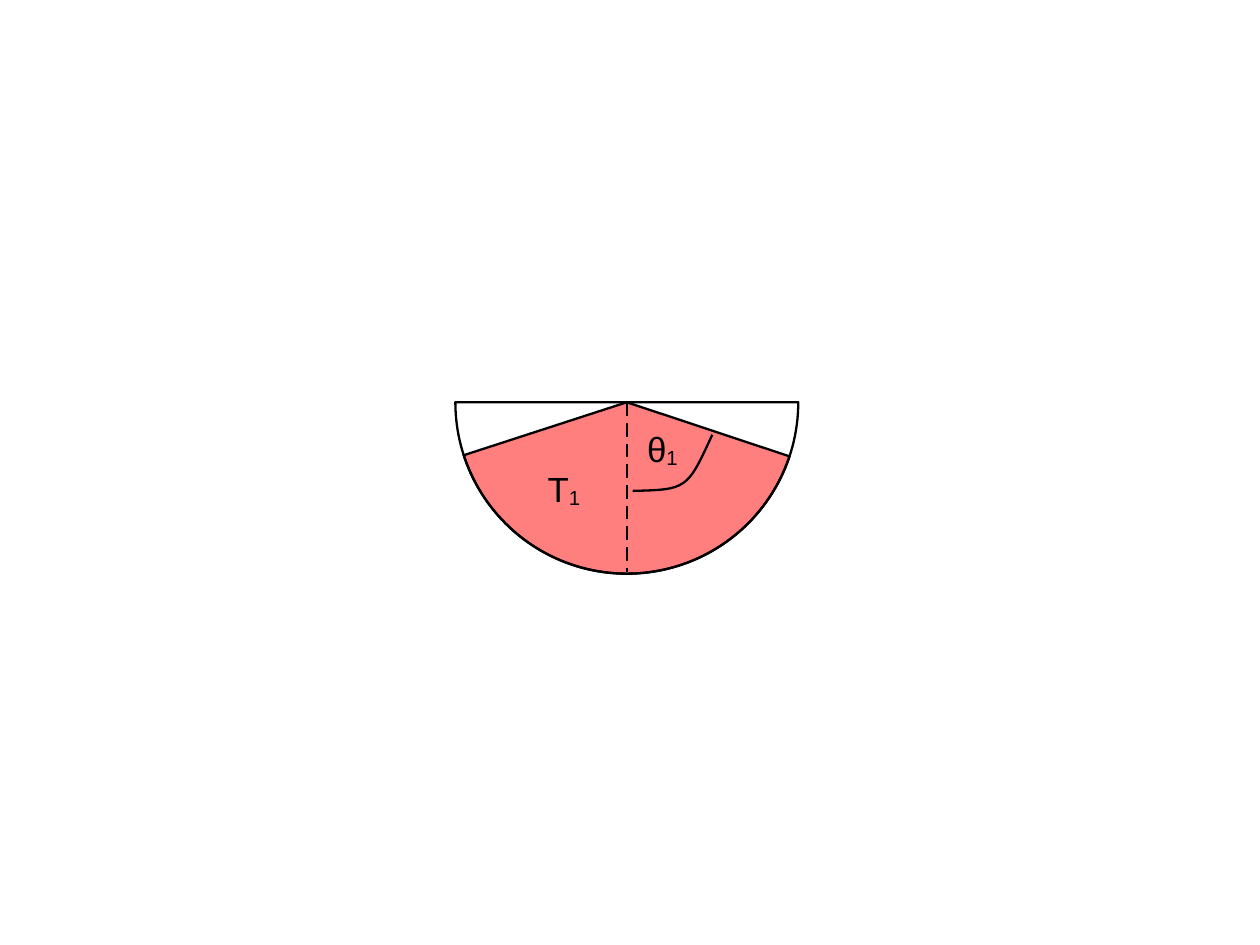
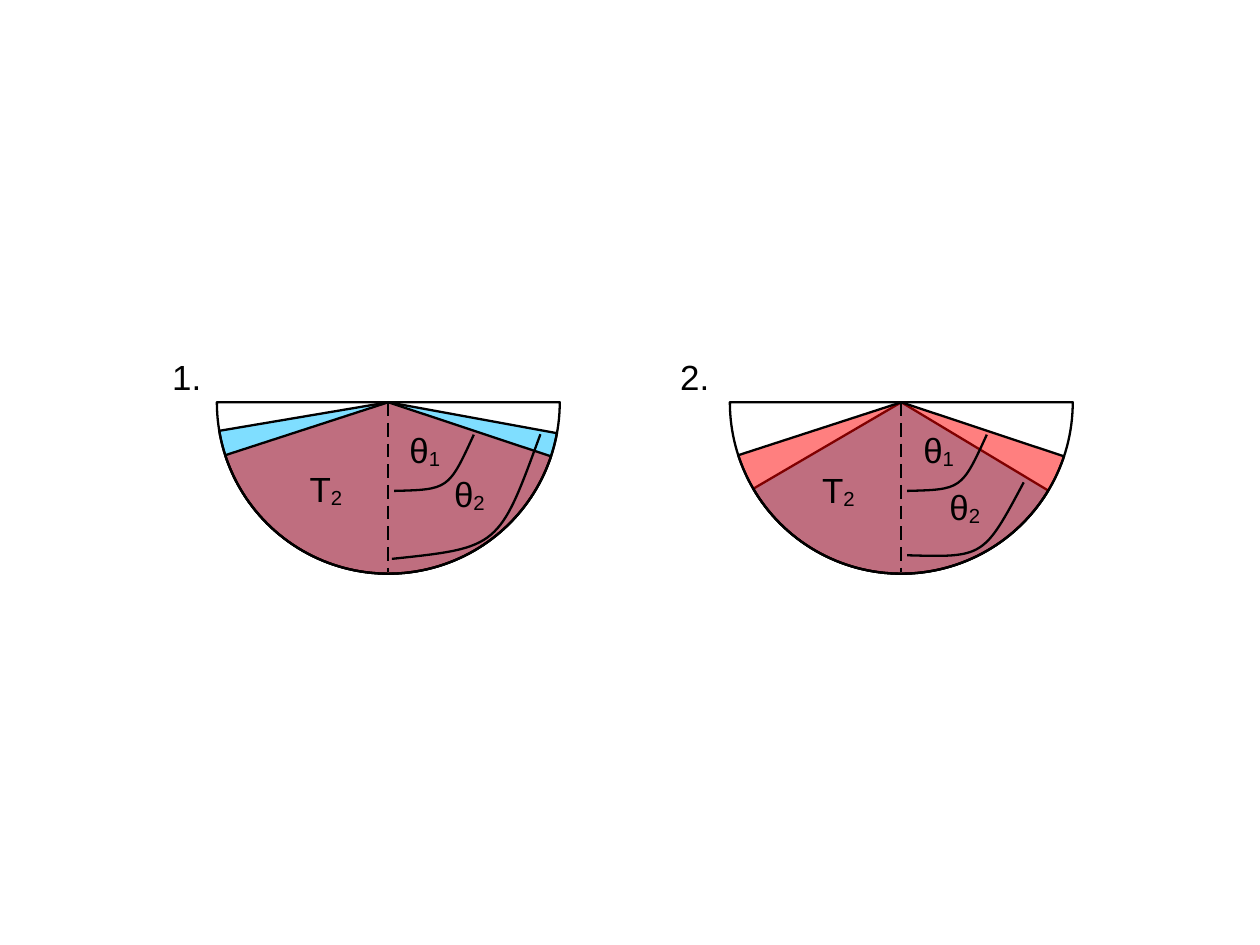
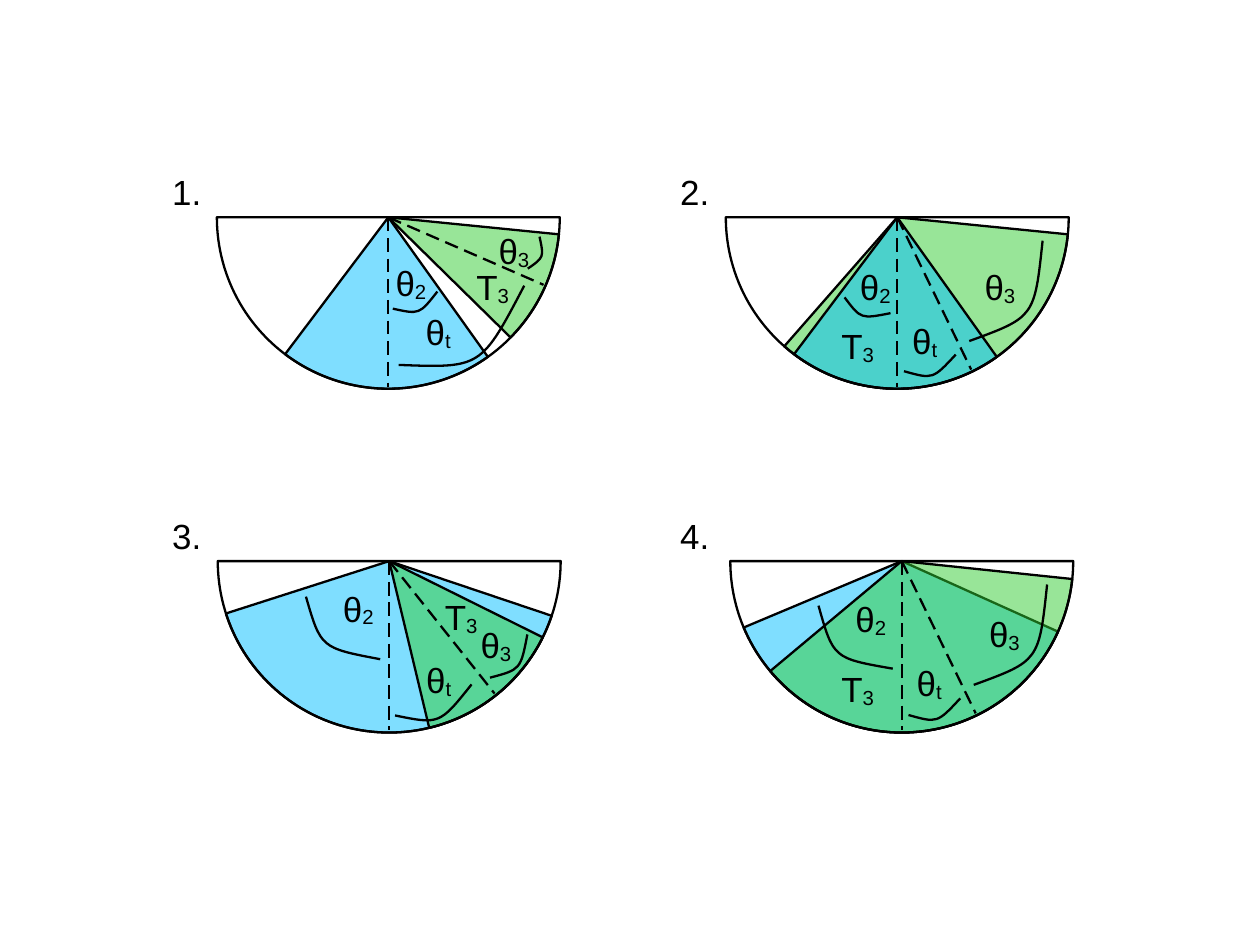
import math

import pptx
import pptx.dml.color
import pptx.enum.shapes
import pptx.enum.text
import pptx.oxml.ns
import pptx.util
from lxml import etree

Cm = pptx.util.Cm
qn = pptx.oxml.ns.qn

BLACK, RED, BLUE, GREEN = "000000", "FF0000", "00BFFF", "32CD32"
FONT, TEXT_SIZE, LINE_WIDTH = "Arial", 22, 1.45
RADIUS, AXIS_LENGTH = 3.81, 3.76
LABEL_WIDTH, LABEL_HEIGHT = 1.91, 1.27
LABEL_WIDTHS = {"θ3": 1.24}
NUMBER_X, NUMBER_RISE = (4.15, 15.44), 0.53

RED_SECTOR = (RED, 18.4, 162)
NARROW_BLUE = (BLUE, 54.5, 127)
THETA_1 = ((1.9, 0.72), (1.34, 1.94), (0.13, 1.97))
THETA_T = ((1.3, 3.05), (0.79, 3.6), (0.15, 3.42))
THETA_3 = ((3.23, 0.52), (3.05, 2.22), (1.6, 2.75))

SLIDES = [
    [
        {"apex": (13.93, 8.94), "sectors": [RED_SECTOR], "axes": [90],
         "arcs": [THETA_1],
         "labels": [("θ", "1", 0.79, 1.08), ("T", "1", -1.4, 1.97)]},
    ],
    [
        {"number": 1, "apex": (8.63, 8.94), "axes": [90],
         "sectors": [(BLUE, 10.4, 170.4), RED_SECTOR],
         "arcs": [THETA_1, ((3.38, 0.71), (2.46, 3.23), (0.08, 3.48))],
         "labels": [("θ", "1", 0.81, 1.09), ("θ", "2", 1.8, 2.07),
                    ("T", "2", -1.39, 1.97)]},
        {"number": 2, "apex": (20.03, 8.94), "axes": [90],
         "sectors": [(BLUE, 31, 149.7), RED_SECTOR],
         "arcs": [THETA_1, ((2.72, 1.78), (1.83, 3.45), (0.13, 3.4))],
         "labels": [("θ", "1", 0.83, 1.1), ("θ", "2", 1.41, 2.37),
                    ("T", "2", -1.4, 1.99)]},
    ],
    [
        {"number": 1, "apex": (8.63, 4.83), "axes": [90, 23.5],
         "sectors": [(GREEN, 5.7, 44.5), NARROW_BLUE],
         "arcs": [((3.02, 1.52), (2.06, 3.35), (0.23, 3.28)),
                  ((1.09, 1.65), (0.69, 2.16), (0.1, 2.03)),
                  ((3.36, 0.43), (3.46, 0.89), (3.1, 1.14))],
         "labels": [("θ", "t", 1.11, 2.59), ("T", "3", 2.32, 1.59),
                    ("θ", "2", 0.5, 1.5), ("θ", "3", 2.79, 0.79)]},
        {"number": 2, "apex": (19.94, 4.83), "axes": [90, 64.1],
         "sectors": [(GREEN, 5.7, 131.2), NARROW_BLUE],
         "arcs": [THETA_T, THETA_3,
                  ((-0.15, 2.13), (-0.81, 2.26), (-1.17, 1.78))],
         "labels": [("θ", "t", 0.61, 2.79), ("T", "3", -0.88, 2.9),
                    ("θ", "2", -0.49, 1.59), ("θ", "3", 2.28, 1.59)]},
        {"number": 3, "apex": (8.65, 12.47), "axes": [90, 51.5],
         "sectors": [(BLUE, 18.6, 162.2), (GREEN, 26.4, 76.5)],
         "arcs": [((-0.2, 2.18), (-1.52, 1.93), (-1.85, 0.79)),
                  ((1.83, 2.74), (1.12, 3.63), (0.13, 3.43)),
                  ((3.07, 1.63), (2.92, 2.41), (2.24, 2.59))],
         "labels": [("θ", "t", 1.1, 2.68), ("T", "3", 1.6, 1.27),
                    ("θ", "2", -0.69, 1.09), ("θ", "3", 2.37, 1.9)]},
        {"number": 4, "apex": (20.04, 12.47), "axes": [90, 64.1],
         "sectors": [(BLUE, 24.3, 157.2), (GREEN, 6, 140.1)],
         "arcs": [THETA_T, THETA_3,
                  ((-0.2, 2.39), (-1.52, 2.16), (-1.85, 0.99))],
         "labels": [("θ", "t", 0.61, 2.74), ("T", "3", -0.98, 2.88),
                    ("θ", "2", -0.69, 1.32), ("θ", "3", 2.28, 1.65)]},
    ],
]


def rgb(color):
    return pptx.dml.color.RGBColor.from_string(color)


def set_line(shape):
    shape.line.color.rgb = rgb(BLACK)
    shape.line.width = pptx.util.Pt(LINE_WIDTH)


def add_sector(s, apex, start, end, color=None):
    x, y = apex
    shape = s.shapes.add_shape(
        pptx.enum.shapes.MSO_SHAPE.PIE, Cm(x - RADIUS), Cm(y - RADIUS),
        Cm(2 * RADIUS), Cm(2 * RADIUS))
    shape.adjustments[0] = start * 0.6
    shape.adjustments[1] = end * 0.6
    shape.shadow.inherit = False
    if color:
        shape.fill.solid()
        shape.fill.fore_color.rgb = rgb(color)
        fill = shape.element.spPr.find(qn("a:solidFill"))
        etree.SubElement(fill[0], qn("a:alpha"), val="50000")
    else:
        shape.fill.background()
    set_line(shape)


def add_axis(s, apex, angle):
    x, y = apex
    a = math.radians(angle)
    line = s.shapes.add_connector(
        pptx.enum.shapes.MSO_CONNECTOR.STRAIGHT, Cm(x), Cm(y),
        Cm(x + AXIS_LENGTH * math.cos(a)), Cm(y + AXIS_LENGTH * math.sin(a)))
    set_line(line)
    spPr = line.element.spPr
    dash = etree.SubElement(spPr.find(qn("a:ln")), qn("a:custDash"))
    etree.SubElement(dash, qn("a:ds"), d="600000", sp="300000")
    etree.SubElement(spPr, qn("a:effectLst"))


def add_arc(s, apex, *points):
    start, bend, end = [
        (Cm(apex[0] + dx), Cm(apex[1] + dy)) for dx, dy in points]
    builder = s.shapes.build_freeform(*start)
    builder.add_line_segments([end], close=False)
    shape = builder.convert_to_shape()
    segment = shape.element.find(".//" + qn("a:lnTo"))
    segment.tag = qn("a:cubicBezTo")
    for i in range(2):
        control = etree.Element(
            qn("a:pt"), x=str(bend[0] - shape.left), y=str(bend[1] - shape.top))
        segment.insert(i, control)
    shape.shadow.inherit = False
    shape.fill.background()
    set_line(shape)


def add_label(s, x, y, text, subscript=""):
    width = LABEL_WIDTHS.get(text + subscript, LABEL_WIDTH)
    box = s.shapes.add_textbox(
        Cm(x - width / 2), Cm(y - LABEL_HEIGHT / 2),
        Cm(width), Cm(LABEL_HEIGHT))
    tf = box.text_frame
    tf.word_wrap = True
    p = tf.paragraphs[0]
    p.alignment = pptx.enum.text.PP_ALIGN.CENTER
    p.font.name = FONT
    p.font.size = pptx.util.Pt(TEXT_SIZE)
    p.font.color.rgb = rgb(BLACK)
    p.add_run().text = text
    if subscript:
        r = p.add_run()
        r.text = subscript
        r._r.get_or_add_rPr().set("baseline", "-8000")


def add_figure(s, figure):
    apex = x, y = figure["apex"]
    for color, start, end in figure["sectors"]:
        add_sector(s, apex, start, end, color)
    add_sector(s, apex, 0, 180)
    for angle in figure["axes"]:
        add_axis(s, apex, angle)
    for arc in figure["arcs"]:
        add_arc(s, apex, *arc)
    for text, subscript, dx, dy in figure["labels"]:
        add_label(s, x + dx, y + dy, text, subscript)
    if "number" in figure:
        n = figure["number"]
        add_label(s, NUMBER_X[(n - 1) % 2], y - NUMBER_RISE, f"{n}.")


def main():
    prs = pptx.Presentation()
    prs.slide_width, prs.slide_height = Cm(28), Cm(21)
    for figures in SLIDES:
        s = prs.slides.add_slide(prs.slide_layouts[6])
        for figure in figures:
            add_figure(s, figure)
    prs.save("out.pptx")


if __name__ == "__main__":
    main()
